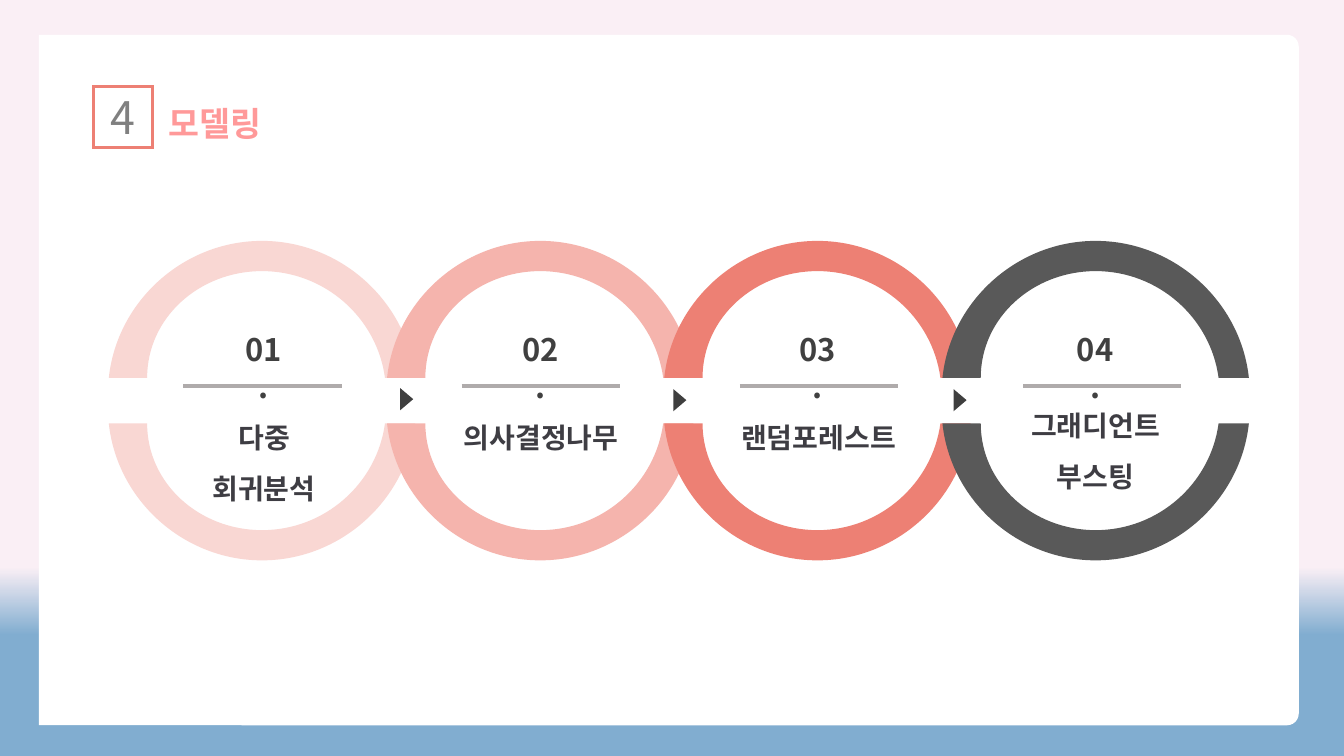
from dataclasses import dataclass
from lxml import etree
from pptx import Presentation
from pptx.dml.color import RGBColor
from pptx.enum.shapes import MSO_CONNECTOR as Line, MSO_SHAPE as Shape
from pptx.enum.text import MSO_ANCHOR as Anchor, MSO_AUTO_SIZE as Fit, PP_ALIGN as Align
from pptx.oxml.ns import qn
from pptx.util import Pt

PX = 9144  # 100 px to the inch


@dataclass(frozen=True)
class Theme:
    face: str = "Noto Sans CJK KR"
    sky: str = "FAEFF5"
    sea: str = "81ADD0"
    panel: str = "FFFFFF"
    title: str = "FF9999"
    frame: str = "ED8074"
    badge: str = "808080"
    num: str = "404040"
    label: str = "3E3D43"
    rule: str = "AFABAB"
    arrow: str = "3F3F3F"
    rings: tuple = ("F9D7D3", "F5B4AD", "ED8074", "595959")
    title_pt: float = 24
    badge_pt: float = 32
    num_pt: float = 22.1
    label_pt: float = 20
    line_pt: float = 2.25


THEME = Theme()
STEP = 275
GAP_TOP, GAP_END = 375, 420
# Bezier quarters, measured from the ring's axis and the edge of the gap
OUTER = ((152, 0), (144, 76), (78, 136), (0, 136))
INNER = ((0, 106), (62, 106), (114, 60), (122, 0))
# label, label top, ring axis, rule left
STAGES = (
    ("다중 회귀분석", 396, 260, 182),
    ("의사결정나무", 396, 536, 458),
    ("랜덤포레스트", 396, 811, 734),
    ("그래디언트\n부스팅", 384, 1087, 1015),
)
ARROWS = ((397, 385), (668, 386), (946, 386))
DISCS = (428, 978)


def emu(*sizes):
    return [round(size * PX) for size in sizes]


def rgb(code):
    return RGBColor.from_string(code)


def paint(shape, color):
    shape.shadow.inherit = False
    shape.fill.solid()
    shape.fill.fore_color.rgb = rgb(color)
    shape.line.fill.background()


def write(frame, text, size, color, bold=False, align=Align.CENTER, space=None):
    frame.text = text
    for para in frame.paragraphs:
        para.alignment = align
        para.line_spacing = space
        font = para.font
        font.name, font.size, font.bold = THEME.face, Pt(size), bold
        font.color.rgb = rgb(color)
        east = etree.SubElement(font._element, qn("a:ea"))
        east.set("typeface", THEME.face)


def add_text(slide, box, text, size, color, space=None):
    frame = slide.shapes.add_textbox(*emu(*box)).text_frame
    frame.word_wrap = True
    write(frame, text, size, color, True, space=space)
    return frame


def add_poly(slide, points, color):
    points = [emu(*point) for point in points]
    pen = slide.shapes.build_freeform(*points[0], scale=1.0)
    pen.add_line_segments(points[1:], close=True)
    shape = pen.convert_to_shape()
    paint(shape, color)
    return shape


def bend(shape):
    """Turn each three line segments of an outline into one Bezier curve."""
    lines = list(shape._element.iter(qn("a:lnTo")))
    for i in range(0, len(lines), 3):
        curve = etree.Element(qn("a:cubicBezTo"))
        lines[i].addprevious(curve)
        for line in lines[i:i + 3]:
            curve.append(line[0])
            line.getparent().remove(line)


def add_ring(slide, axis, color):
    right = INNER + OUTER[:1] * 3 + OUTER[1:]
    left = [(-x, y) for x, y in right[-2::-1]]
    for base, sign in ((GAP_TOP, -1), (GAP_END, 1)):
        edge = [(axis + x, base + sign * y) for x, y in right]
        # The left end closes on the inner edge, so its corner comes last
        edge += [(axis + x, base + sign * y) for x, y in left[:3]]
        edge += [(axis + left[6][0], base)] * 3
        edge += [(axis + x, base + sign * y) for x, y in left[-3:]]
        bend(add_poly(slide, edge, color))


def add_disc(slide, left, top=290, size=219):
    paint(slide.shapes.add_shape(Shape.OVAL, *emu(left, top, size, size)), THEME.panel)


def add_rule(slide, left, top=383, width=157):
    rule = slide.shapes.add_connector(Line.STRAIGHT, *emu(left, top, left + width, top))
    rule.line.color.rgb = rgb(THEME.rule)
    rule.line.width = Pt(THEME.line_pt)
    etree.SubElement(rule._element.spPr, qn("a:effectLst"))


def add_arrow(slide, left, top):
    add_poly(slide, [(left, top), (left + 13, top + 11), (left, top + 22)], THEME.arrow)


def add_back(slide):
    fill = slide.background.fill
    fill.gradient()
    fill.gradient_angle = 270
    for stop, color, place in zip(fill.gradient_stops, (THEME.sky, THEME.sea), (0.75, 0.84)):
        stop.color.rgb = rgb(color)
        stop.position = place
    panel = slide.shapes.add_shape(Shape.ROUND_2_SAME_RECTANGLE, *emu(321, -248, 685, 1250))
    panel.rotation = 270
    panel.adjustments[0], panel.adjustments[1] = 0, 0.017
    paint(panel, THEME.panel)


def add_head(slide, number, text):
    title = slide.shapes.title
    title.left, title.top, title.width, title.height = emu(157, 77, 1018, 65)
    frame = title.text_frame
    frame.auto_size, frame.vertical_anchor = Fit.NONE, Anchor.TOP
    write(frame, text, THEME.title_pt, THEME.title, True, Align.LEFT, 1.5)
    slide.shapes._spTree.append(title._element)
    badge = slide.shapes.add_shape(Shape.RECTANGLE, *emu(93, 86, 58, 60))
    badge.shadow.inherit = False
    badge.fill.background()
    badge.line.color.rgb = rgb(THEME.frame)
    badge.line.width = Pt(THEME.line_pt)
    miter = etree.SubElement(badge.line._ln, qn("a:miter"))
    miter.set("lim", "800000")
    badge.text_frame.vertical_anchor = Anchor.MIDDLE
    write(badge.text_frame, number, THEME.badge_pt, THEME.badge)


def main():
    deck = Presentation()
    deck.slide_width, deck.slide_height = Pt(960), Pt(540)
    slide = deck.slides.add_slide(deck.slide_layouts[5])
    add_back(slide)
    add_head(slide, "4", "모델링")
    for (_, _, axis, _), color in zip(STAGES, THEME.rings):
        add_ring(slide, axis, color)
    for left in DISCS:
        add_disc(slide, left)
    for i, (label, top, _, left) in enumerate(STAGES):
        add_rule(slide, left)
        add_text(slide, (174 + i * STEP, top, 176, 56), label,
                 THEME.label_pt, THEME.label, 1.5)
        frame = add_text(slide, (230 + i * STEP, 323, 63, 47), f"0{i + 1}.",
                         THEME.num_pt, THEME.num)
        frame.paragraphs[0].space_before = Pt(1.7)
    for left, top in ARROWS:
        add_arrow(slide, left, top)
    deck.save("out.pptx")


if __name__ == "__main__":
    main()
